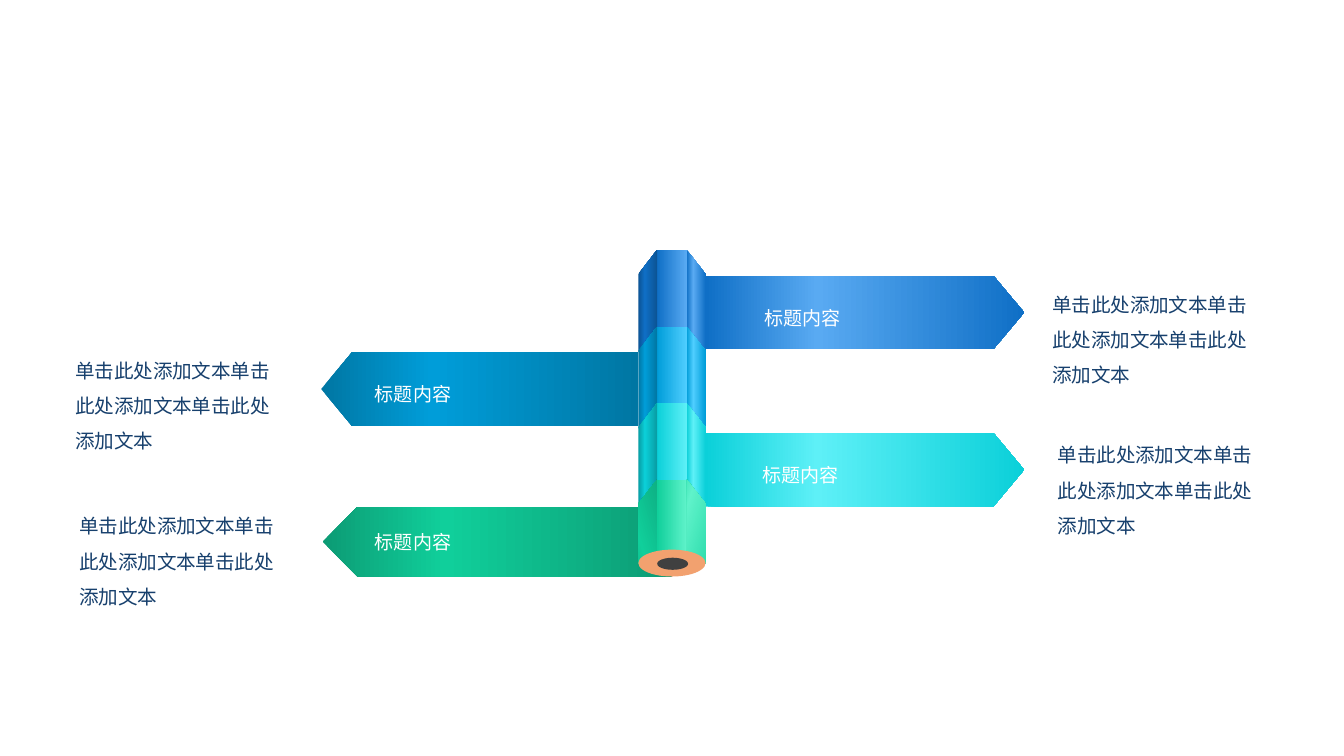
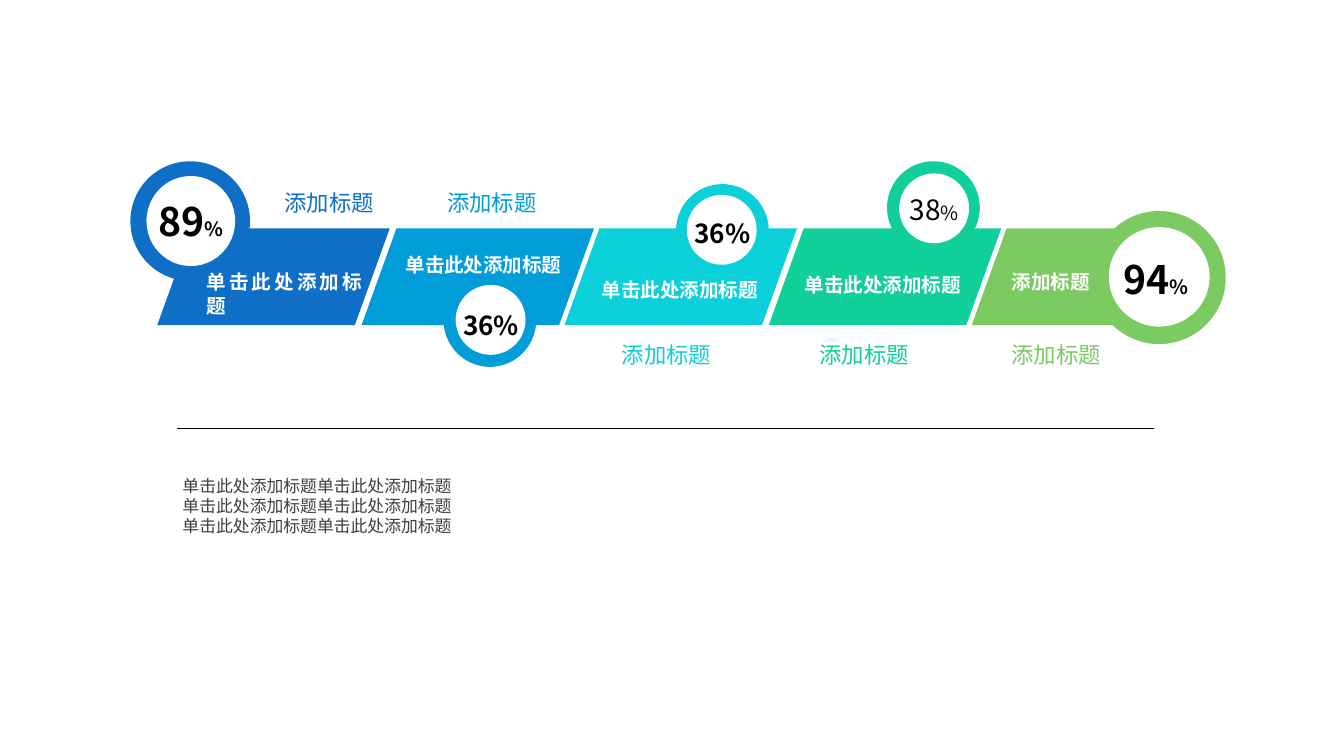
"""Build two infographic slides: a pencil signpost and a ribbon of percentages."""
from math import cos, radians, sin

from lxml import etree
from pptx import Presentation
from pptx.dml.color import RGBColor
from pptx.enum.shapes import MSO_CONNECTOR, MSO_SHAPE
from pptx.enum.text import MSO_AUTO_SIZE, PP_ALIGN
from pptx.oxml.ns import qn
from pptx.util import Pt

PX = 9144
FONT = "Noto Sans CJK SC"
OVAL, STRAIGHT = MSO_SHAPE.OVAL, MSO_CONNECTOR.STRAIGHT
LEFT, CENTER, JUSTIFY = PP_ALIGN.LEFT, PP_ALIGN.CENTER, PP_ALIGN.JUSTIFY
GROW, FIXED = MSO_AUTO_SIZE.SHAPE_TO_FIT_TEXT, MSO_AUTO_SIZE.NONE
BLUE, SKY, AQUA, GREEN, LIME = "0F6FC6", "009DD9", "0BD0D9", "10CF9B", "7CCA62"
WHITE, BLACK, NAVY, GREY = "FFFFFF", "000000", "17406D", "3F3F3F"
TONES = [
    ("0B5394", BLUE, "59AAF2"),
    ("0076A3", SKY, "4FCEFF"),
    ("089CA3", AQUA, "5EF0F7"),
    ("0C9B74", GREEN, "5FF3CA"),
]


def add_form(shapes, outline, *colours):
    """Draw an oval from a box tuple or a polygon from a list of points."""
    if isinstance(outline, tuple):
        form = shapes.add_shape(OVAL, *[PX * length for length in outline])
    else:
        points = [(PX * x, PX * y) for x, y in outline]
        builder = shapes.build_freeform(*points[0], scale=1.0)
        builder.add_line_segments(points[1:], close=True)
        form = builder.convert_to_shape()
    form.shadow.inherit = False
    form.line.fill.background()
    if len(colours) == 1:
        form.fill.solid()
        form.fill.fore_color.rgb = RGBColor.from_string(colours[0])
        return form
    form.fill.gradient()
    form.fill.gradient_angle = 0
    stops = form._element.spPr.find(qn("a:gradFill")).find(qn("a:gsLst"))
    for stop in list(stops):
        stops.remove(stop)
    for place, colour in zip((0, 35, 100) if len(colours) == 3 else (0, 100), colours):
        stop = etree.SubElement(stops, qn("a:gs"), pos=str(place * 1000))
        etree.SubElement(stop, qn("a:srgbClr"), val=colour)
    return form


def add_text(shapes, bounds, paragraphs, align=LEFT, wrap=True, spacing=None):
    """Add paragraphs of (text, size, colour, bold) runs; spacing marks a fixed box."""
    box = shapes.add_textbox(*[PX * length for length in bounds])
    frame = box.text_frame
    frame.word_wrap = wrap
    frame.auto_size = FIXED if spacing else GROW
    if spacing:
        frame.margin_left = frame.margin_right = 7 * PX
        frame.margin_top = frame.margin_bottom = 4 * PX
    for index, runs in enumerate(paragraphs):
        para = frame.add_paragraph() if index else frame.paragraphs[0]
        para.alignment = align
        if spacing:
            para.line_spacing = spacing
        for text, size, colour, bold in runs:
            span = para.add_run()
            span.text = text
            span.font.size = Pt(size)
            span.font.bold = bold
            span.font.color.rgb = RGBColor.from_string(colour)
            span.font.name = FONT
            etree.SubElement(span.font._element, qn("a:ea"), typeface=FONT)


deck = Presentation()
deck.slide_width = 1000 * PX
deck.slide_height = 1125 * PX // 2
blank = deck.slide_layouts[6]

page = deck.slides.add_slide(blank)
dark_green, dark_sky = TONES[3][0], TONES[1][0]
arrows = [
    (-1, (0, 234, 260), 377, 52, (dark_green, GREEN, dark_green), (272, 384), (52, 370)),
    (-1, (25, 238, 261), 262, 55, (dark_sky, SKY, dark_sky), (272, 274), (49, 254)),
    (1, (25, 239, 262), 205, 55, (BLUE, TONES[0][2], BLUE), (562, 217), (776, 205)),
    (1, (25, 239, 262), 322, 55, (AQUA, TONES[2][2], AQUA), (560, 334), (780, 317)),
]
for side, reaches, top, height, colours, label_at, note_at in arrows:
    root, shoulder, tip = [500 + side * reach for reach in reaches]
    bottom = top + height
    add_form(page.shapes, [(root, top), (shoulder, top), (tip, top + height / 2),
                           (shoulder, bottom), (root, bottom)], *colours)
    add_text(page.shapes, (*label_at, 200, 31),
             [[("标题内容", 10.2, WHITE, False)]], spacing=1.4)
    add_text(page.shapes, (*note_at, 173, 65),
             [[("单击此处添加文本" * 3, 10.5, NAVY, False)]], spacing=1.5)

pencil = page.shapes.add_group_shape().shapes
for level, (dark, main, light) in enumerate(TONES):
    top = 186 + 57 * level
    add_form(pencil, [(489, top), (511, top), (511, top + 58), (489, top + 58)], main, light)
    flap = [(11, top), (11, top + 57), (25, top + 76), (25, top + 18)]
    lean = 0
    if level == 3:
        flap = [(11, top), (11, top + 58), (14, top + 62), (17, top + 64),
                (21, top + 64), (25, top + 62), (25, top + 18)]
        lean = 17.3
    for side, colours in ((-1, (dark, main, dark)), (1, (main, light, main))):
        turn = radians(-side * lean)
        middle_x, middle_y = 500 + side * 17.5, top + 32.5
        outline = []
        for reach, y in flap:
            across, down = 500 + side * reach - middle_x, y - middle_y
            outline.append((middle_x + across * cos(turn) - down * sin(turn),
                            middle_y + across * sin(turn) + down * cos(turn)))
        add_form(pencil, outline, *colours).rotation = side * lean
add_form(pencil, (475, 409, 50, 20), "F2A16F")
add_form(pencil, (489, 415, 23, 9), "404040")

page = deck.slides.add_slide(blank)
for index, colour in enumerate((BLUE, SKY, AQUA, GREEN, LIME)):
    left = 117 + (303 * index + 1) // 2
    add_form(page.shapes, [(left + 147, 242), (left, 242), (left + 26, 170),
                           (left + 173, 170)], colour)

badges = [
    (BLUE, (97, 120, 89, 89), (109, 131, 66, 67), (107, 142, 70, 45), "89", 21, True),
    (SKY, (330, 203, 69, 70), (339, 212, 52, 52), (334, 225, 63, 34), "36%", 14, True),
    (AQUA, (503, 137, 69, 69), (511, 145, 52, 52), (506, 157, 63, 34), "36%", 14, True),
    (GREEN, (660, 120, 69, 69), (669, 129, 52, 52), (666, 138, 58, 35), "38", 15, False),
    (LIME, (813, 157, 99, 99), (825, 169, 75, 74), (825, 185, 70, 45), "94", 21, True),
]
for colour, disc, hole, bounds, number, size, bold in badges:
    badge = page.shapes.add_group_shape().shapes
    add_form(badge, disc, colour)
    add_form(badge, hole, WHITE)
    runs = [(number, size, BLACK, bold)]
    if "%" not in number:
        runs.append(("%", 10.5, BLACK, bold))
    add_text(badge, bounds, [runs], CENTER, wrap=False)

captions = [
    ((144, 196, 135, 45), "单击此处添加标题", (201, 136), BLUE),
    ((292, 183, 137, 28), "单击此处添加标题", (322, 136), SKY),
    ((438, 202, 137, 28), "单击此处添加标题", (452, 249), AQUA),
    ((589, 198, 137, 28), "单击此处添加标题", (599, 249), GREEN),
    ((743, 196, 86, 28), "添加标题", (742, 249), LIME),
]
for bounds, caption, heading_at, colour in captions:
    add_text(page.shapes, bounds, [[(caption, 10.5, WHITE, True)]], JUSTIFY)
    add_text(page.shapes, (*heading_at, 88, 30),
             [[("添加标题", 12, colour, False)]], CENTER, wrap=False)

add_text(page.shapes, (126, 349, 740, 56),
         [[("单击此处添加标题" * 2, 9, GREY, False)] for _ in range(3)])
rule = page.shapes.add_connector(STRAIGHT, 132 * PX, 319 * PX, 859 * PX, 319 * PX)
rule.line.color.rgb = RGBColor.from_string(BLACK)
rule.line.width = Pt(0.5)
etree.SubElement(rule._element.spPr, qn("a:effectLst"))

deck.save("out.pptx")
